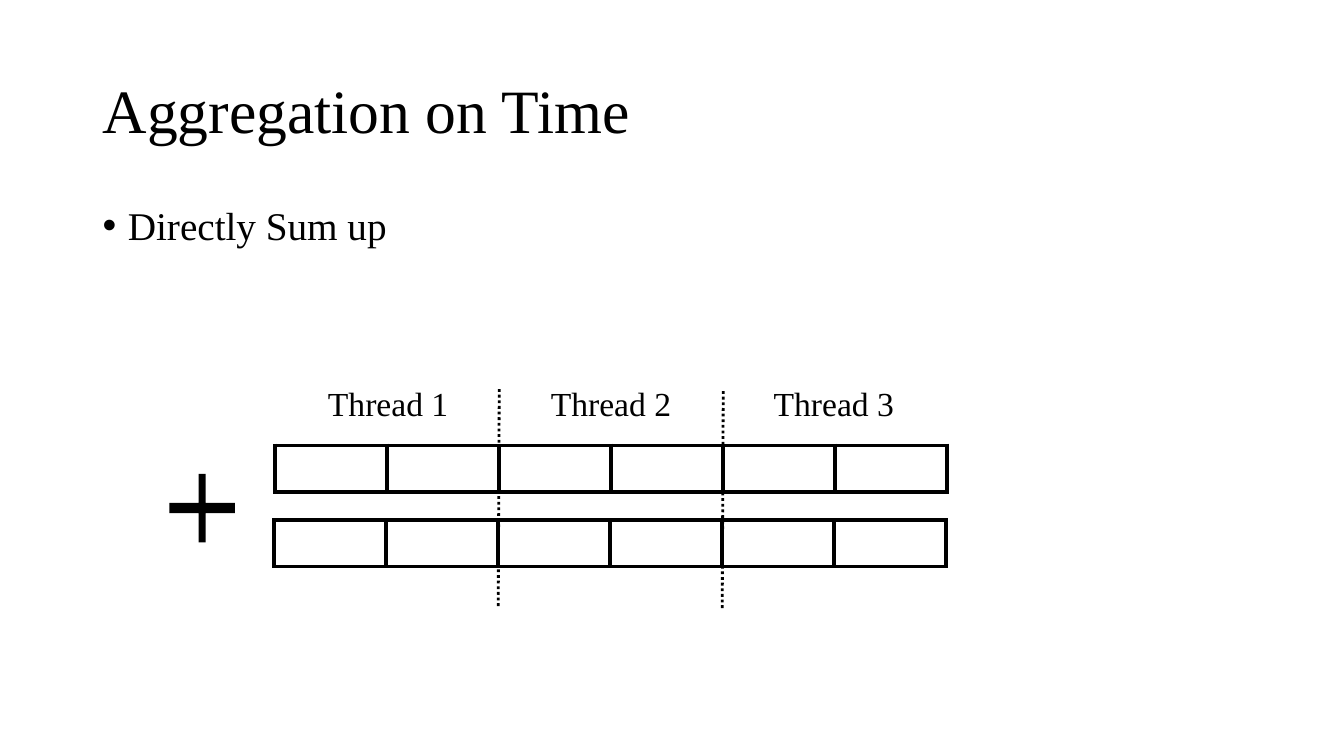
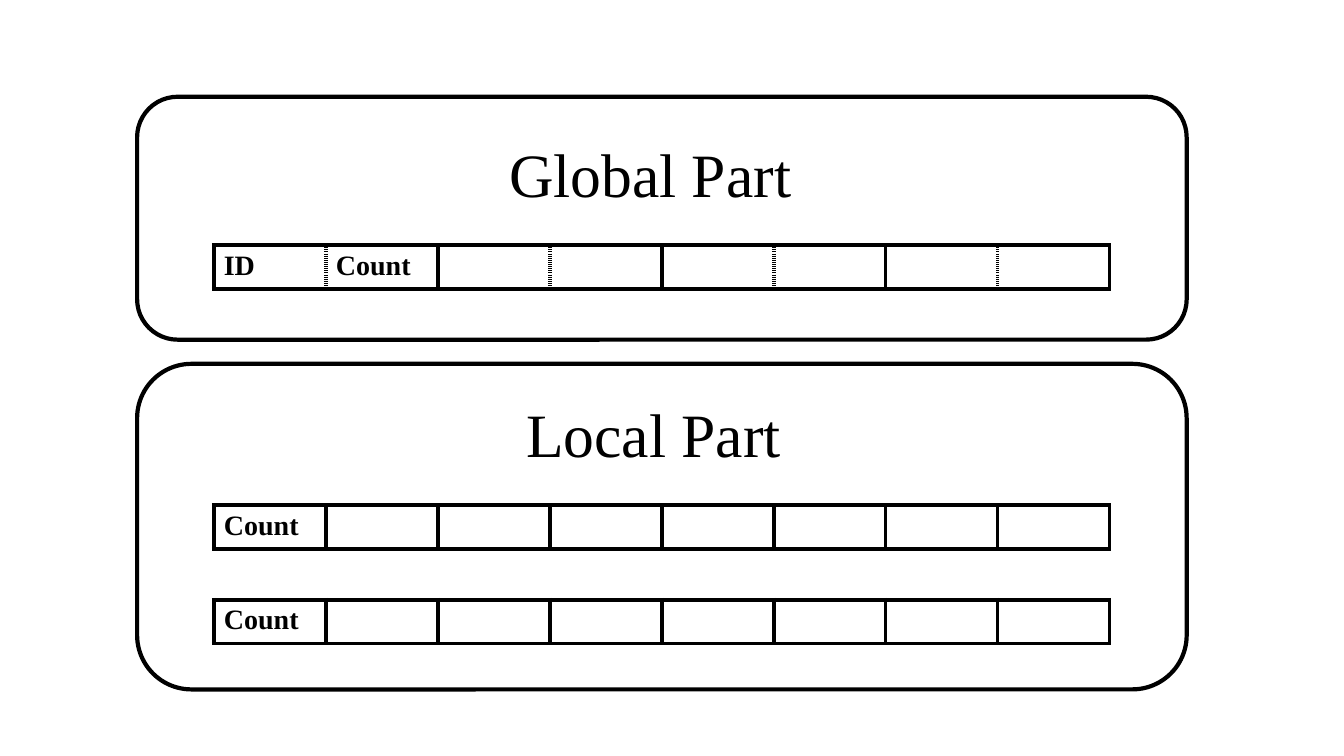
from lxml import etree
from pptx import Presentation
from pptx import util as u
from pptx.dml.color import RGBColor
from pptx.enum import dml, shapes, text
from pptx.oxml import ns

WIDTH, HEIGHT = 13.33, 7.5
COLUMN = WIDTH / 12
FONT, BLACK, WHITE = "Times New Roman", "000000", "FFFFFF"
TITLE = dict(size=44, anchor=text.MSO_ANCHOR.MIDDLE, spacing=0.9)

THREADS = ["Thread 1", "Thread 2", "Thread 3"]
CELLS_PER_THREAD = 2
THREAD_ARRAYS = [(2.73, 4.42), (2.72, 5.16)]
DIVIDER_TOP, DIVIDER_LENGTH = 3.86, 2.18

PARTS = [
    dict(title="Global Part", title_box=(4.95, 1.1, 3.11, 1.32), top=0.96, height=2.41,
         arrays=[(2.43, ["ID", "Count"], True)]),
    dict(title="Local Part", title_box=(5.12, 3.61, 3.85, 1.47), top=3.61, height=3.23,
         arrays=[(5.01, ["Count"], False), (5.95, ["Count"], False)]),
]
PART_LEFT, PART_WIDTH = 1.36, 10.41
ARRAY_LEFT, ARRAY_CELLS = 2.12, 8


def color(value):
    return RGBColor.from_string(value)


def inches(*lengths):
    return [u.Inches(length) for length in lengths]


def write(frame, content, size, bold=False, align=None, anchor=text.MSO_ANCHOR.TOP,
          spacing=None, before=None, bullet=None):
    frame.word_wrap = True
    frame.vertical_anchor = anchor
    paragraph = frame.paragraphs[0]
    paragraph.alignment = align
    paragraph.line_spacing = spacing
    if before:
        paragraph.space_before = u.Pt(before)
    if bullet:
        properties = paragraph._p.get_or_add_pPr()
        properties.set("marL", str(u.Inches(0.25)))
        properties.set("indent", str(u.Inches(-0.25)))
        etree.SubElement(properties, ns.qn("a:buFont"), typeface="Arial")
        etree.SubElement(properties, ns.qn("a:buChar"), char=bullet)
    run = paragraph.add_run()
    run.text = content
    run.font.name, run.font.size, run.font.bold = FONT, u.Pt(size), bold
    run.font.color.rgb = color(BLACK)


def add_text(slide, box, content, **style):
    write(slide.shapes.add_textbox(*inches(*box)).text_frame, content, **style)


def add_shape(slide, kind, box, fill=None, line=None):
    shape = slide.shapes.add_shape(kind, *inches(*box))
    shape.shadow.inherit = False
    if fill:
        shape.fill.solid()
        shape.fill.fore_color.rgb = color(fill)
    else:
        shape.fill.background()
    if line:
        shape.line.color.rgb = color(BLACK)
        shape.line.width = u.Pt(line)
    else:
        shape.line.fill.background()
    return shape


def set_borders(cell, dotted_sides):
    properties = cell._tc.get_or_add_tcPr()
    for index, side in enumerate("LRTB"):
        line = etree.Element(ns.qn("a:ln" + side), w=str(u.Pt(3)))
        fill = etree.SubElement(line, ns.qn("a:solidFill"))
        etree.SubElement(fill, ns.qn("a:srgbClr"), val=BLACK)
        dash = "sysDot" if side in dotted_sides else "solid"
        etree.SubElement(line, ns.qn("a:prstDash"), val=dash)
        properties.insert(index, line)


def add_array(slide, left, top, height, count, labels=(), paired=False):
    frame = slide.shapes.add_table(1, count, *inches(left, top, count * COLUMN, height))
    table = frame.table
    table.first_row = table.horz_banding = False
    for index in range(count):
        table.columns[index].width = u.Inches(COLUMN)
        cell = table.cell(0, index)
        cell.fill.background()
        set_borders(cell, "RL"[index % 2] if paired else "")
        if index < len(labels):
            write(cell.text_frame, labels[index], size=20, bold=True)


def add_divider(slide, left, top):
    line = slide.shapes.add_connector(
        shapes.MSO_CONNECTOR.STRAIGHT, *inches(left, top, left - 0.01, top + DIVIDER_LENGTH))
    line.line.color.rgb = color(BLACK)
    line.line.width = u.Pt(2)
    line.line.dash_style = dml.MSO_LINE.ROUND_DOT
    etree.SubElement(line._element.spPr, ns.qn("a:effectLst"))


def add_slide(presentation):
    slide = presentation.slides.add_slide(presentation.slide_layouts[6])
    slide.background.fill.solid()
    slide.background.fill.fore_color.rgb = color(WHITE)
    return slide


def build_aggregation(slide):
    add_text(slide, (0.92, 0.4, 11.5, 1.45), "Aggregation on Time", **TITLE)
    add_text(slide, (0.92, 2, 11.5, 0.74), "Directly Sum up",
             size=28, spacing=0.9, before=10, bullet="•")
    for left, top in THREAD_ARRAYS:
        add_array(slide, left, top, 0.46, len(THREADS) * CELLS_PER_THREAD)
    pitch = CELLS_PER_THREAD * COLUMN
    for index in range(1, len(THREADS)):
        add_divider(slide, THREAD_ARRAYS[0][0] + index * pitch, DIVIDER_TOP + 0.02 * (index - 1))
    for index, label in enumerate(THREADS):
        add_text(slide, (2.58 + index * 2.21, 3.75, 2.54, 0.5), label,
                 size=24, align=text.PP_ALIGN.CENTER)
    plus = add_shape(slide, shapes.MSO_SHAPE.CROSS, (1.68, 4.7, 0.65, 0.68), fill=BLACK)
    plus.adjustments[0] = 0.446


def build_parts(slide):
    for part in PARTS:
        add_shape(slide, shapes.MSO_SHAPE.ROUNDED_RECTANGLE,
                  (PART_LEFT, part["top"], PART_WIDTH, part["height"]), line=3)
        add_text(slide, part["title_box"], part["title"], **TITLE)
        for top, labels, paired in part["arrays"]:
            add_array(slide, ARRAY_LEFT, top, 0.41, ARRAY_CELLS, labels, paired)


def main():
    presentation = Presentation()
    presentation.slide_width, presentation.slide_height = inches(WIDTH, HEIGHT)
    for build in (build_aggregation, build_parts):
        build(add_slide(presentation))
    presentation.save("out.pptx")


if __name__ == "__main__":
    main()
